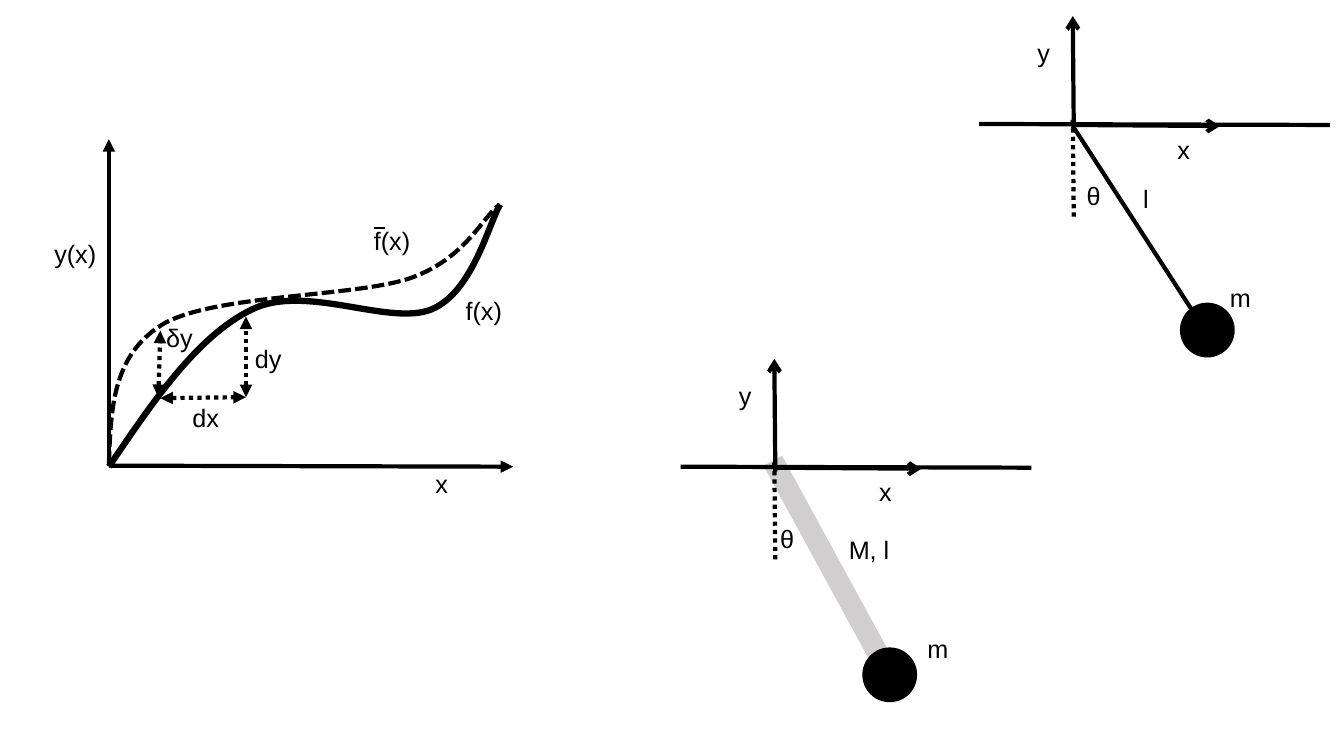
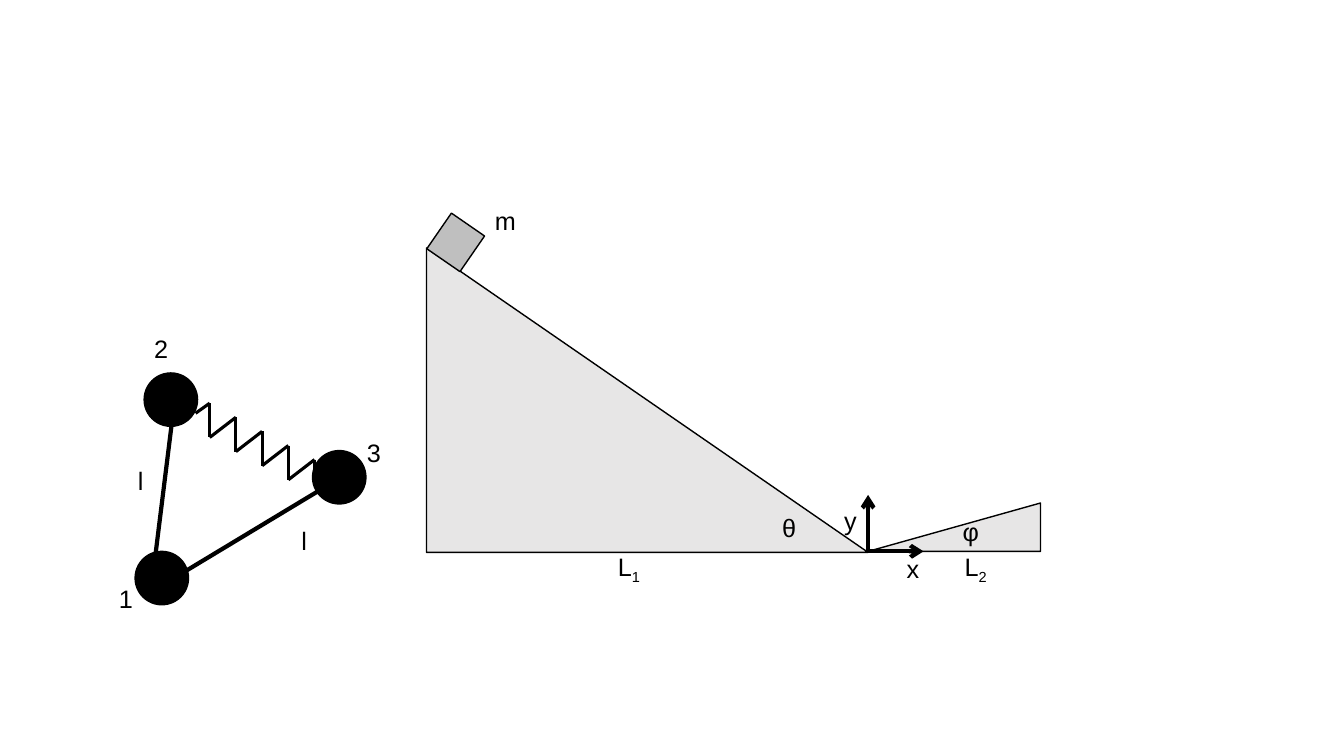
"""Two slides of mechanics sketches: variation, pendulums, a spring triangle and ramps."""
from pptx import Presentation
from pptx import util as u
from pptx.dml.color import RGBColor
from pptx.enum import dml, shapes, text
from pptx.oxml import ns, xmlchemy

BLACK = RGBColor(0x00, 0x00, 0x00)
BAR_GREY = RGBColor(0xD0, 0xCE, 0xCE)
RAMP_GREY = RGBColor(0xE7, 0xE6, 0xE6)
BLOCK_GREY = RGBColor(0xBF, 0xBF, 0xBF)
FONT = "Arial"
TEXT_SIZE = u.Pt(18)
LABEL_HEIGHT = 0.4
BALL = 0.53
DOTTED = dml.MSO_LINE.ROUND_DOT
DASHED = dml.MSO_LINE.SQUARE_DOT


def inches(*lengths):
    """Turn lengths in inches into slide units."""
    return [u.Inches(length) for length in lengths]


def style_line(shape, weight, dash=None):
    """Give an outline or a connector a black line."""
    shape.line.color.rgb = BLACK
    shape.line.width = u.Pt(weight)
    if dash is not None:
        shape.line.dash_style = dash


def add_line(canvas, start, end, weight=3, dash=None, head=None, tail=None):
    """Draw a straight line, with arrowheads where they are named."""
    line = canvas.add_connector(shapes.MSO_CONNECTOR.STRAIGHT, *inches(*start, *end))
    style_line(line, weight, dash)
    properties = line.element.spPr
    outline = properties.find(ns.qn("a:ln"))
    for tag, kind in (("a:headEnd", head), ("a:tailEnd", tail)):
        if kind:
            arrowhead = xmlchemy.OxmlElement(tag)
            arrowhead.set("type", kind)
            outline.append(arrowhead)
    properties.append(xmlchemy.OxmlElement("a:effectLst"))


def add_curve(canvas, points, weight, dash=None):
    """Draw a Bezier curve: a start, then two controls and an end per segment."""
    start, *others = [inches(*point) for point in points]
    builder = canvas.build_freeform(*start)
    builder.add_line_segments(others, close=False)
    curve = builder.convert_to_shape()
    curve.shadow.inherit = False
    curve.fill.background()
    style_line(curve, weight, dash)
    steps = list(curve.element.iter(ns.qn("a:lnTo")))
    for first in range(0, len(steps), 3):
        segment = xmlchemy.OxmlElement("a:cubicBezTo")
        steps[first].addprevious(segment)
        for step in steps[first:first + 3]:
            segment.append(step[0])
            step.getparent().remove(step)


def add_solid(canvas, kind, box, colour, outlined=True, rotation=0, apex=None):
    """Draw a filled preset shape; apex places the top of a triangle."""
    solid = canvas.add_shape(kind, *inches(*box))
    solid.shadow.inherit = False
    solid.fill.solid()
    solid.fill.fore_color.rgb = colour
    solid.rotation = rotation
    if outlined:
        style_line(solid, 1)
    else:
        solid.line.fill.background()
    if apex is not None:
        solid.adjustments[0] = apex


def add_ball(canvas, left, top):
    """Draw a black point mass."""
    add_solid(canvas, shapes.MSO_SHAPE.OVAL, (left, top, BALL, BALL), BLACK)


def add_label(canvas, words, left, top, width=0.33, height=LABEL_HEIGHT, index=""):
    """Write a symbol, with a subscript index if it has one."""
    box = canvas.add_textbox(*inches(left, top, width, height))
    box.text_frame.word_wrap = False
    box.text_frame.auto_size = text.MSO_AUTO_SIZE.SHAPE_TO_FIT_TEXT
    para = box.text_frame.paragraphs[0]
    para.text = words
    if index:
        span = para.add_run()
        span.text = index
        span.font._element.set("baseline", "-25000")
    for span in para.runs:
        span.font.name = FONT
        span.font.size = TEXT_SIZE
        span.font.color.rgb = BLACK


def add_variation(canvas):
    """Plot a function and its varied neighbour, with their differences."""
    add_line(canvas, (1.08, 4.62), (5.09, 4.63), tail="triangle")
    add_line(canvas, (1.08, 4.6), (1.08, 1.38), tail="triangle")
    add_curve(canvas, [(1.08, 4.63), (1.52, 3.98), (1.96, 3.33), (2.5, 3.07),
                       (3.03, 2.81), (3.86, 3.24), (4.28, 3.07),
                       (4.69, 2.9), (4.85, 2.21), (4.96, 2.03)], 4.5)
    for start, end in (((1.59, 3.95), (2.44, 3.94)),
                       ((2.44, 3.94), (2.44, 3.14)),
                       ((1.57, 3.94), (1.59, 3.28))):
        add_line(canvas, start, end, dash=DOTTED, head="triangle", tail="triangle")
    add_curve(canvas, [(1.08, 4.6), (1.1, 4.07), (1.11, 3.53), (1.61, 3.22),
                       (2.11, 2.92), (3.51, 2.95), (4.07, 2.76),
                       (4.63, 2.56), (4.78, 2.15), (4.96, 2.03)], 3, DASHED)
    for words, left, top, width in (
            ("y(x)", 0.44, 2.32, 0.62), ("x", 4.22, 4.6, 0.33),
            ("dy", 2.43, 3.36, 0.47), ("dx", 1.81, 3.94, 0.47),
            ("δy", 1.55, 3.15, 0.47), ("f(x)", 3.61, 2.19, 0.57),
            ("f(x)", 4.52, 2.88, 0.57)):
        add_label(canvas, words, left, top, width)
    add_line(canvas, (3.71, 2.26), (3.82, 2.26), 1.5)


def add_pivot(canvas, x, y, angle_shift):
    """Draw the support, axes and rest line of a pendulum hung at (x, y)."""
    add_line(canvas, (x - 0.93, y - 0.01), (x + 2.55, y))
    add_line(canvas, (x, y), (x + 1.46, y + 0.01), tail="arrow")
    add_line(canvas, (x + 0.01, y + 0.04), (x, y - 1.08), tail="arrow")
    add_line(canvas, (x, y - 0.05), (x + 0.01, y + 0.93), dash=DOTTED)
    add_label(canvas, "x", x + 0.94, y + 0.04)
    add_label(canvas, "y", x - 0.45, y - 0.92)
    add_label(canvas, "θ", x + angle_shift, y + 0.5, 0.34)


def add_string_pendulum(canvas):
    """Draw a mass on a weightless string."""
    add_ball(canvas, 11.71, 3.01)
    add_line(canvas, (10.64, 1.25), (11.98, 3.32))
    add_pivot(canvas, 10.64, 1.24, 0.04)
    add_label(canvas, "l", 11.24, 1.77, 0.26)
    add_label(canvas, "m", 12.1, 2.75, 0.41)


def add_bar_pendulum(canvas):
    """Draw a mass on a heavy bar."""
    add_solid(canvas, shapes.MSO_SHAPE.RECTANGLE, (7.02, 5.55, 2.47, 0.21),
              BAR_GREY, outlined=False, rotation=61.4)
    add_ball(canvas, 8.56, 6.43)
    add_pivot(canvas, 7.68, 4.64, -0.04)
    add_label(canvas, "m", 9.1, 6.23, 0.41)
    add_label(canvas, "M, l", 8.32, 5.25, 0.61)


def add_spring(canvas, x, y, teeth=4, pitch=0.26, drop=0.14, depth=0.34):
    """Draw a zigzag spring whose first tooth has its top at (x, y)."""
    add_line(canvas, (x, y), (x - 0.14, y + 0.1), 2.25)
    for tooth in range(teeth):
        left, top = x + tooth * pitch, y + tooth * drop
        bottom = (left, top + depth)
        add_line(canvas, (left, top), bottom, 2.25)
        add_line(canvas, (left + pitch, top + drop), bottom, 2.25)
    end, top = x + teeth * pitch, y + teeth * drop
    add_line(canvas, (end, top), (end, top + 0.19), 2.25)


def add_spring_triangle(canvas):
    """Draw three masses joined by two rods and a spring."""
    for left, top in ((3.1, 4.47), (1.34, 5.47), (1.43, 3.7)):
        add_ball(canvas, left, top)
    add_line(canvas, (1.54, 5.52), (1.7, 4.23))
    add_line(canvas, (1.85, 5.66), (3.21, 4.84))
    add_spring(canvas, 2.08, 4)
    for words, left, top, width in (
            ("l", 2.89, 5.16, 0.26), ("l", 1.27, 4.57, 0.26),
            ("1", 1.08, 5.74, 0.34), ("2", 1.43, 3.26, 0.34),
            ("3", 3.54, 4.29, 0.34)):
        add_label(canvas, words, left, top, width)


def add_ramps(canvas):
    """Draw a block on a long ramp that meets a short one."""
    triangle = shapes.MSO_SHAPE.ISOSCELES_TRIANGLE
    add_solid(canvas, triangle, (4.23, 2.46, 4.38, 3.02), RAMP_GREY, apex=0)
    add_solid(canvas, shapes.MSO_SHAPE.RECTANGLE, (4.32, 2.19, 0.4, 0.43),
              BLOCK_GREY, rotation=34.6)
    add_solid(canvas, triangle, (8.61, 4.99, 1.71, 0.48), RAMP_GREY, apex=1)
    add_label(canvas, "θ", 7.66, 5.03, 0.34)
    add_label(canvas, "φ", 9.45, 5.07, 0.36)
    add_label(canvas, "L", 6.03, 5.42, 0.44, index="1")
    add_label(canvas, "L", 9.47, 5.42, 0.44, index="2")
    add_label(canvas, "m", 4.81, 1.99, 0.41)
    add_line(canvas, (8.6, 5.47), (9.16, 5.47), tail="arrow")
    add_line(canvas, (8.61, 5.48), (8.61, 4.91), tail="arrow")
    add_label(canvas, "x", 8.96, 5.44, 0.13, 0.2)
    add_label(canvas, "y", 8.34, 4.96, 0.13, 0.2)


def main():
    """Build both slides, one group per sketch."""
    deck = Presentation()
    deck.slide_width, deck.slide_height = inches(13.33, 7.5)
    blank = deck.slide_layouts[6]
    for sketches in ((add_variation, add_string_pendulum, add_bar_pendulum),
                     (add_spring_triangle, add_ramps)):
        page = deck.slides.add_slide(blank)
        for sketch in sketches:
            sketch(page.shapes.add_group_shape().shapes)
    deck.save("out.pptx")


main()
